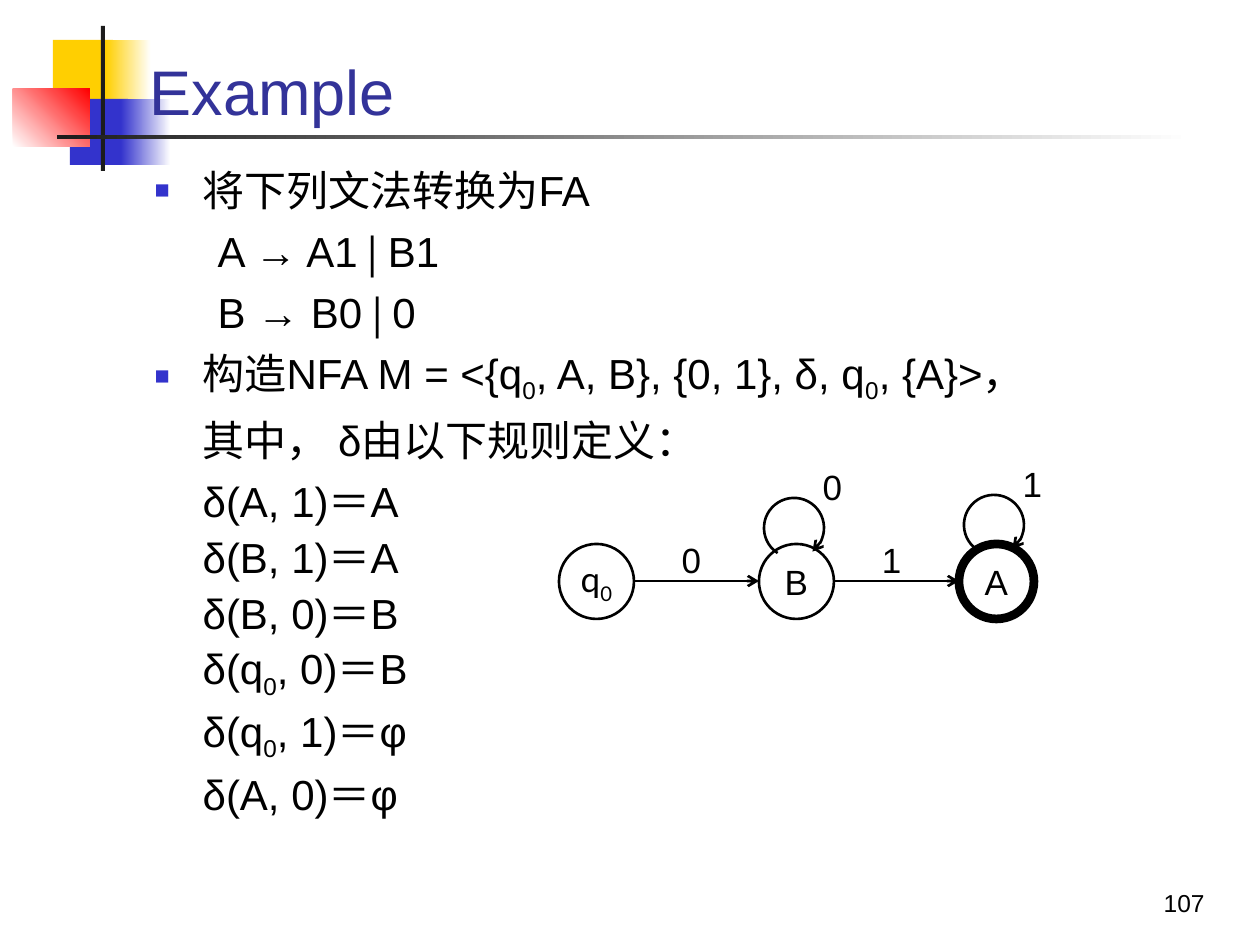
from lxml.etree import SubElement
from pptx import Presentation
from pptx.dml.color import RGBColor
from pptx.enum.shapes import MSO_CONNECTOR as Link, MSO_SHAPE as Shape
from pptx.enum.text import MSO_ANCHOR as Anchor, MSO_AUTO_SIZE as AutoSize, PP_ALIGN as Align
from pptx.oxml.ns import qn
from pptx.util import Emu, Pt

BLACK = RGBColor(0x00, 0x00, 0x00)
WHITE = RGBColor(0xFF, 0xFF, 0xFF)
INK = RGBColor(0x1C, 0x1C, 0x1C)
YELLOW = RGBColor(0xFF, 0xCF, 0x01)
BLUE = RGBColor(0x33, 0x33, 0xCC)
RED = RGBColor(0xFF, 0x00, 0x00)
NAVY = RGBColor(0x33, 0x33, 0x99)

WIDTH, HEIGHT = 1260, 945
NODE, PITCH, NODE_LEFT, NODE_TOP = 75, 200, 559, 544

BLOCKS = [
    (YELLOW, None, 0, (53, 40, 60, 66)),
    (YELLOW, WHITE, 0, (106, 40, 45, 66)),
    (BLUE, None, 0, (70, 99, 58, 66)),
    (BLUE, WHITE, 0, (121, 99, 50, 66)),
    (WHITE, RED, 45, (13, 89, 77, 58)),
    (INK, None, 0, (101, 26, 4, 145)),
    (INK, WHITE, 0, (57, 135, 1134, 4)),
]

# (kind, space before in points, text); "_" lowers the next character
LINES = [
    ("bullet", 0, "将下列文法转换为FA"),
    ("rule", 6, "A → A1∣B1"),
    ("rule", 6, "B → B0∣0"),
    ("bullet", 6, "构造NFA M = <{q_0, A, B}, {0, 1}, δ, q_0, {A}>，"),
    ("plain", 6, "其中， δ由以下规则定义："),
    ("plain", 6, "δ(A, 1)＝A"),
    ("plain", 3, "δ(B, 1)＝A"),
    ("plain", 3, "δ(B, 0)＝B"),
    ("plain", 3, "δ(q_0, 0)＝B"),
    ("plain", 3, "δ(q_0, 1)＝φ"),
    ("plain", 3, "δ(A, 0)＝φ"),
]
INDENTS = {"bullet": (0, 48, -48), "rule": (1, 102, -39), "plain": (0, 48, 0)}


def px(length):
    """Turn pixels into EMU."""
    return Emu(round(length * 914400 / 126))


def write(para, text, size=20, color=BLACK, font="Arial", align=Align.LEFT):
    """Write text into a paragraph, lowering each character after an underscore."""
    para.alignment = align
    first, *rest = text.split("_")
    pieces = [(first, False)]
    for part in rest:
        pieces += [(part[0], True), (part[1:], False)]
    for piece, lowered in pieces:
        if not piece:
            continue
        span = para.add_run()
        span.text = piece
        span.font.size = Pt(size)
        span.font.name = font
        span.font.color.rgb = color
        if lowered:
            span.font._element.set("baseline", "-25000")


class Painter:
    """Holds the line style and the current slide."""

    def __init__(self, page, color=BLACK, weight=1.5):
        """Keep the slide and the default line."""
        self.page, self.color, self.weight = page, color, weight

    def stroke(self, item, weight=None, arrow=False):
        """Format an outline, with an arrowhead at its end if asked."""
        item.line.color.rgb = self.color
        item.line.width = Pt(weight or self.weight)
        if arrow:
            SubElement(item.line._get_or_add_ln(), qn("a:tailEnd"), type="arrow")

    def shape(self, kind, area):
        """Add a preset shape without shadow, fill or line."""
        item = self.page.shapes.add_shape(kind, *map(px, area))
        item.shadow.inherit = False
        item.fill.background()
        item.line.fill.background()
        return item

    def block(self, color, fade, angle, area):
        """Add a solid or fading rectangle."""
        fill = self.shape(Shape.RECTANGLE, area).fill
        if fade is None:
            fill.solid()
            fill.fore_color.rgb = color
        else:
            fill.gradient()
            fill.gradient_angle = angle
            for stop, shade in zip(fill.gradient_stops, (color, fade)):
                stop.color.rgb = shade

    def placeholder(self, index, area, anchor):
        """Move a placeholder to its area and to the front."""
        item = self.page.placeholders[index]
        item.left, item.top, item.width, item.height = map(px, area)
        item.element.getparent().append(item.element)
        frame = item.text_frame
        frame.word_wrap = True
        frame.auto_size = AutoSize.NONE
        frame.vertical_anchor = anchor
        return frame

    def title(self, text, area):
        """Fill the title."""
        write(self.placeholder(0, area, Anchor.BOTTOM).paragraphs[0], text, size=36, color=NAVY)

    def body(self, lines, area):
        """Fill the body with bulleted and plain lines."""
        frame = self.placeholder(1, area, Anchor.TOP)
        for number, (kind, before, text) in enumerate(lines):
            para = frame.add_paragraph() if number else frame.paragraphs[0]
            para.level, margin, indent = INDENTS[kind]
            para.space_before = Pt(before)
            props = para._p.get_or_add_pPr()
            props.set("marL", str(px(margin)))
            props.set("indent", str(px(indent)))
            if kind == "bullet":
                SubElement(SubElement(props, qn("a:buClr")), qn("a:srgbClr"), val=str(BLUE))
                SubElement(props, qn("a:buSzPct"), val="60000")
                SubElement(props, qn("a:buChar"), char="■")
            else:
                SubElement(props, qn("a:buNone"))
            write(para, text, size=24)

    def label(self, text, area, anchor=Anchor.TOP, wrap=False, **style):
        """Add a text box."""
        frame = self.page.shapes.add_textbox(*map(px, area)).text_frame
        frame.word_wrap = wrap
        frame.vertical_anchor = anchor
        write(frame.paragraphs[0], text, **style)

    def node(self, text, left, weight, font):
        """Add a state circle."""
        item = self.shape(Shape.OVAL, (left, NODE_TOP, NODE, NODE))
        self.stroke(item, weight)
        frame = item.text_frame
        frame.margin_left = frame.margin_right = frame.margin_top = frame.margin_bottom = 0
        frame.vertical_anchor = Anchor.MIDDLE
        write(frame.paragraphs[0], text, font=font, align=Align.CENTER)

    def step(self, text, left):
        """Add a labelled arrow from the state at left to the next one."""
        middle = NODE_TOP + NODE // 2
        ends = (left + NODE, middle, left + PITCH, middle)
        arrow = self.page.shapes.add_connector(Link.STRAIGHT, *map(px, ends))
        self.stroke(arrow, arrow=True)
        SubElement(arrow._element.spPr, qn("a:effectLst"))
        self.label(text, (left + 110, 532, 45, 55), align=Align.CENTER)

    def loop(self, text, left, top):
        """Add a labelled arc that returns to the state at left."""
        item = self.shape(Shape.ARC, (left + 5, top, 60, 60))
        item.rotation = 50
        for index, degrees in enumerate((73, 2)):
            item.adjustments[index] = degrees * 0.6
        self.stroke(item, arrow=True)
        self.label(text, (left + 44, top - 38, 59, 53), Anchor.MIDDLE, align=Align.CENTER)


def main():
    """Build the slide."""
    deck = Presentation()
    deck.slide_width, deck.slide_height = px(WIDTH), px(HEIGHT)
    painter = Painter(deck.slides.add_slide(deck.slide_layouts[1]))
    for block in BLOCKS:
        painter.block(*block)
    painter.title("Example", (137, 28, 1074, 106))
    painter.body(LINES, (142, 158, 1071, 692))

    start, middle, final = (NODE_LEFT + PITCH * number for number in range(3))
    painter.node("q_0", start, 1.5, "Lato")
    painter.node("A", final, 5, "Arial")
    painter.node("B", middle, 1.5, "Arial")
    painter.step("0", start)
    painter.loop("0", middle, 498)
    painter.step("1", middle)
    painter.loop("1", final, 495)
    painter.label("107", (955, 861, 262, 63), Anchor.BOTTOM, wrap=True, size=14, align=Align.RIGHT)
    deck.save("out.pptx")


if __name__ == "__main__":
    main()
